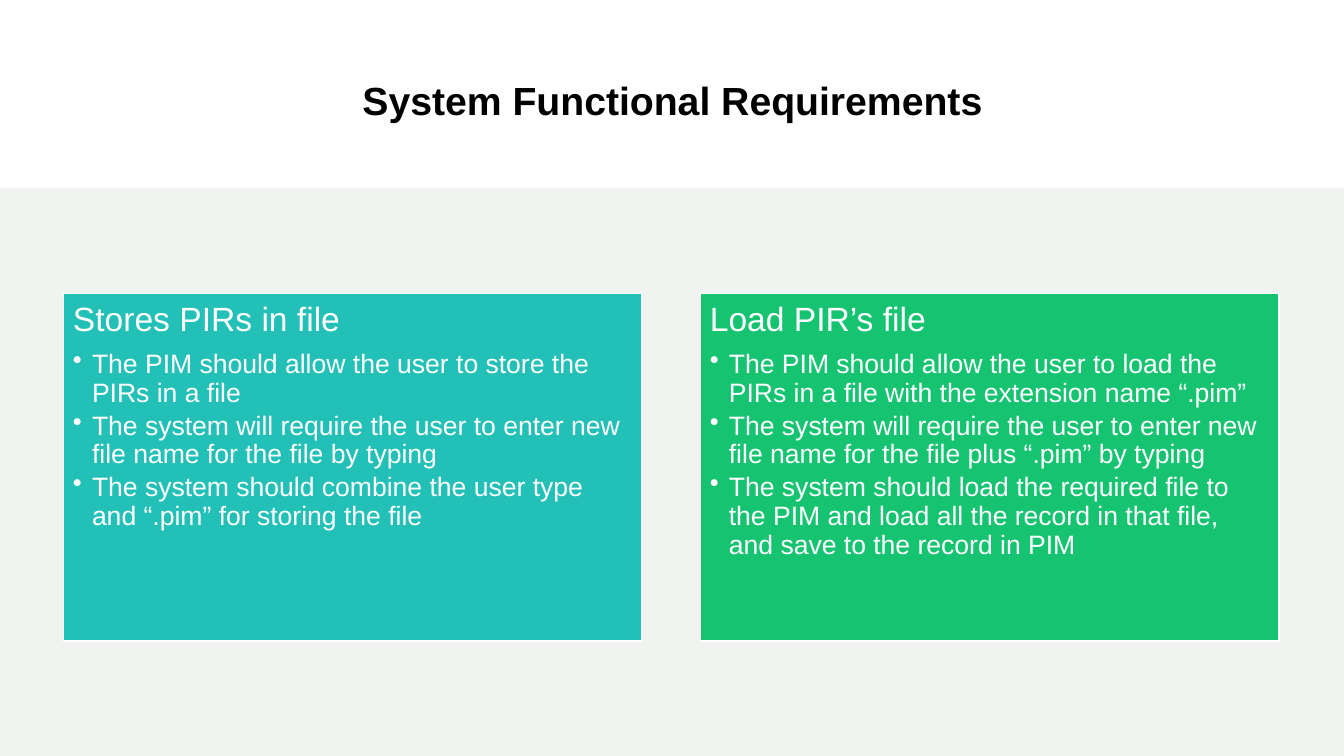
from dataclasses import dataclass

import pptx
import pptx.dml.color
import pptx.enum.shapes
import pptx.enum.text
import pptx.oxml
import pptx.oxml.ns
import pptx.util
from pptx.util import Cm

COLORS = {"black": "000000", "white": "FFFFFF", "band": "F1F3F0",
          "teal": "22C0B7", "green": "15C371"}
FONT = "Arial"
CARD_LEFT, CARD_TOP, CARD_W, CARD_H = 1.6, 7.39, 14.58, 8.76
CARD_PITCH = 16.05
INSET = Cm(0.24)
INDENT = Cm(0.48)


@dataclass
class Card:
    color: str
    heading: str
    bullets: list[str]


CARDS = [
    Card("teal", "Stores PIRs in file", [
        "The PIM should allow the user to store the PIRs in a file",
        "The system will require the user to enter new file name for the file by typing",
        "The system should combine the user type and “.pim” for storing the file",
    ]),
    Card("green", "Load PIR’s file", [
        "The PIM should allow the user to load the PIRs in a file with the extension name “.pim”",
        "The system will require the user to enter new file name for the file plus “.pim” by typing",
        "The system should load the required file to the PIM and load all the record in that file, "
        "and save to the record in PIM",
    ]),
]


def rgb(name: str) -> pptx.dml.color.RGBColor:
    return pptx.dml.color.RGBColor.from_string(COLORS[name])


def set_all(target, values: dict) -> None:
    for name, value in values.items():
        setattr(target, name, value)


def add_rect(s, left: float, top: float, width: float, height: float, color: str):
    sp = s.shapes.add_shape(pptx.enum.shapes.MSO_SHAPE.RECTANGLE,
                            Cm(left), Cm(top), Cm(width), Cm(height))
    sp.shadow.inherit = False
    sp.fill.solid()
    sp.fill.fore_color.rgb = rgb(color)
    sp.line.fill.background()
    return sp


def write(p, text: str, size: float, color: str, bold: bool = False, **spacing) -> None:
    set_all(p, spacing)
    r = p.add_run()
    r.text = text
    set_all(r.font, {"name": FONT, "size": pptx.util.Pt(size), "bold": bold})
    r.font.color.rgb = rgb(color)


def add_bullet(p) -> None:
    pPr = p._p.get_or_add_pPr()
    pPr.set("marL", str(INDENT))
    pPr.set("indent", str(-INDENT))
    pptx.oxml.ns.qn("a:buChar")
    bu = pptx.oxml.parse_xml(
        f'<a:buChar {pptx.oxml.ns.nsdecls("a")} char="•"/>')
    pPr.append(bu)


def add_card(s, left: float, card: Card) -> None:
    sp = add_rect(s, left, CARD_TOP, CARD_W, CARD_H, card.color)
    sp.line.color.rgb = rgb("white")
    sp.line.width = pptx.util.Pt(1)
    tf = sp.text_frame
    set_all(tf, {"word_wrap": True, "vertical_anchor": pptx.enum.text.MSO_ANCHOR.TOP,
                 "margin_left": INSET, "margin_right": INSET,
                 "margin_top": INSET, "margin_bottom": INSET})
    layout = {"alignment": pptx.enum.text.PP_ALIGN.LEFT, "line_spacing": 0.9}
    write(tf.paragraphs[0], card.heading, 24, "white",
          space_after=pptx.util.Pt(8.4), **layout)
    for text in card.bullets:
        p = tf.add_paragraph()
        write(p, text, 19, "white", level=1, space_after=pptx.util.Pt(2.85), **layout)
        add_bullet(p)


def add_title(s, text: str) -> None:
    tf = s.shapes.add_textbox(Cm(3), Cm(1.24), Cm(27.89), Cm(2.46)).text_frame
    set_all(tf, {"word_wrap": True, "vertical_anchor": pptx.enum.text.MSO_ANCHOR.MIDDLE})
    write(tf.paragraphs[0], text, 28, "black", bold=True,
          alignment=pptx.enum.text.PP_ALIGN.CENTER, line_spacing=1.1)


def main() -> None:
    prs = pptx.Presentation()
    set_all(prs, {"slide_width": Cm(33.87), "slide_height": Cm(19.05)})
    s = prs.slides.add_slide(prs.slide_layouts[6])
    add_title(s, "System Functional Requirements")
    add_rect(s, 0, 4.75, 33.87, 14.3, "band")
    for i, card in enumerate(CARDS):
        add_card(s, CARD_LEFT + i * CARD_PITCH, card)
    prs.save("out.pptx")


if __name__ == "__main__":
    main()
